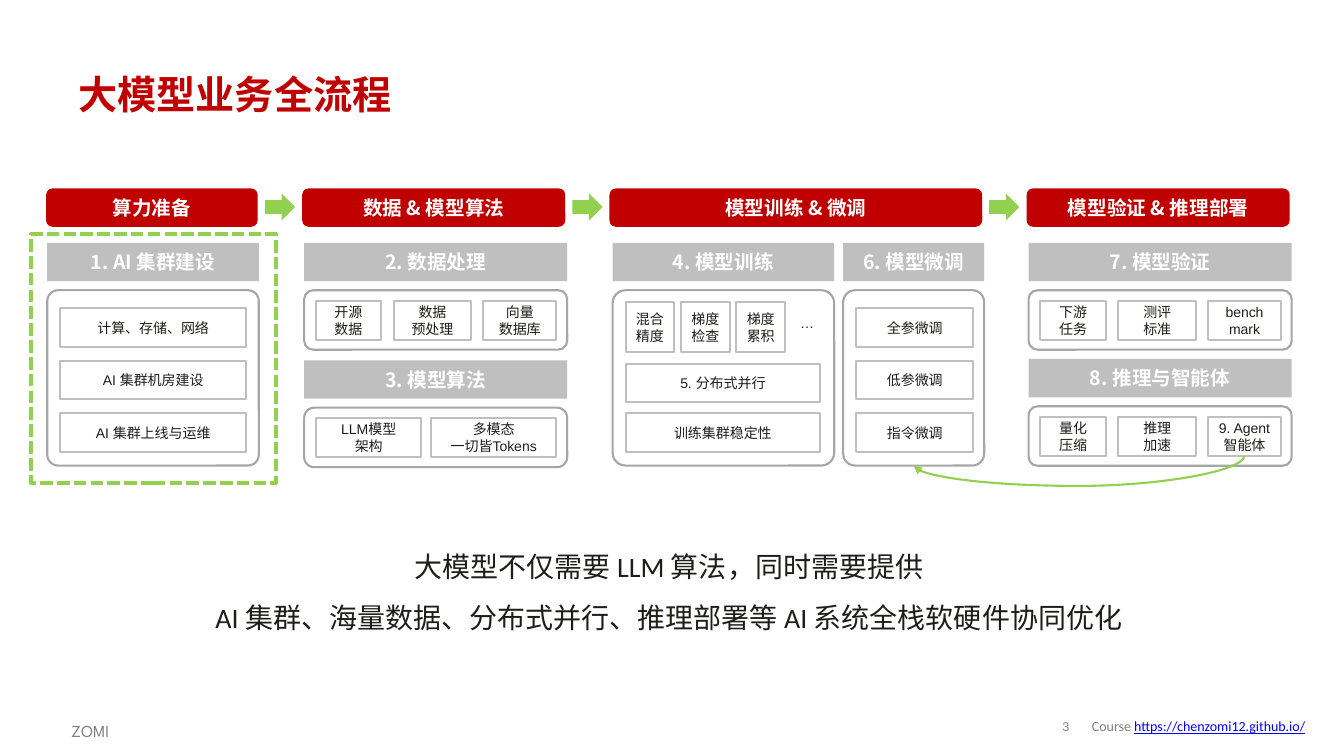
from lxml import etree
from pptx import Presentation
from pptx.dml.color import RGBColor
from pptx.enum.dml import MSO_LINE
from pptx.enum.shapes import MSO_CONNECTOR, MSO_SHAPE
from pptx.enum.text import MSO_ANCHOR, PP_ALIGN
from pptx.oxml.ns import qn
from pptx.util import Pt

RECT, ROUND, ARROW = MSO_SHAPE.RECTANGLE, MSO_SHAPE.ROUNDED_RECTANGLE, MSO_SHAPE.RIGHT_ARROW
CURVE, DASH = MSO_CONNECTOR.CURVE, MSO_LINE.SQUARE_DOT
LEFT, CENTER = PP_ALIGN.LEFT, PP_ALIGN.CENTER
TOP, MIDDLE = MSO_ANCHOR.TOP, MSO_ANCHOR.MIDDLE
CJK = "Noto Sans CJK SC"

COLORS = {
    "red": "C00000", "green": "92D050", "bar": "BFBFBF", "frame": "A6A6A6",
    "ink": "1D1D1A", "white": "FFFFFF", "gray": "808080", "blue": "0000FF",
}
HUES = {name: RGBColor.from_string(code) for name, code in COLORS.items()}

FONTS = {
    "title": ("red", {"name": "League Spartan", "size": Pt(28), "bold": True}),
    "head": ("white", {"name": CJK, "size": Pt(14), "bold": True}),
    "cell": ("ink", {"name": "Arial", "size": Pt(10)}),
    "body": ("ink", {"name": "Calibri", "size": Pt(20)}),
    "page": ("gray", {"name": "Arial", "size": Pt(9)}),
    "owner": ("gray", {"name": "League Spartan", "size": Pt(12)}),
    "course": ("gray", {"name": "Calibri", "size": Pt(10)}),
    "link": ("blue", {"name": "Calibri", "size": Pt(10), "underline": True}),
}

deck = Presentation()
deck.slide_width, deck.slide_height = Pt(960.48), Pt(540)
slide = deck.slides.add_slide(deck.slide_layouts[6])
shapes = slide.shapes


def write(shape, lines, align=CENTER, anchor=MIDDLE, space=None):
    """Fill a shape with lines, each a list of (text, font key) runs."""
    frame = shape.text_frame
    frame.vertical_anchor = anchor
    for i, runs in enumerate(lines):
        para = frame.paragraphs[0] if i == 0 else frame.add_paragraph()
        para.alignment, para.line_spacing = align, space
        for text, key in runs:
            run = para.add_run()
            run.text = text
            hue, look = FONTS[key]
            for name, value in look.items():
                setattr(run.font, name, value)
            run.font.color.rgb = HUES[hue]
            east = etree.SubElement(run.font._element, qn("a:ea"))
            east.set("typeface", CJK)


def box(kind, place, fill=None, line=None, width=1.5, round_by=None, text="", font="cell"):
    shape = shapes.add_shape(kind, *map(Pt, place))
    shape.shadow.inherit = False
    if fill:
        shape.fill.solid()
        shape.fill.fore_color.rgb = HUES[fill]
    else:
        shape.fill.background()
    if line:
        shape.line.color.rgb = HUES[line]
        shape.line.width = Pt(width)
    else:
        shape.line.fill.background()
    if round_by is not None:
        shape.adjustments[0] = round_by
    if text:
        write(shape, [[(part, font)] for part in text.split("\n")])
    return shape


# Stage headers and the arrows between them
for x, w, text in [
    (33, 151.2, "算力准备"),
    (216, 188, "数据 & 模型算法"),
    (435.6, 266.4, "模型训练 & 微调"),
    (733.7, 188, "模型验证 & 推理部署"),
]:
    box(ROUND, (x, 134.6, w, 27.4), fill="red", text=text, font="head")
for x in (189.4, 409, 707):
    box(ARROW, (x, 138.2, 21.6, 19.4), fill="green")

# Sections: grey bar with a rounded frame 33.8 pt below its top
for x, y, w, h, curve, text in [
    (33.8, 173.5, 151.2, 125.3, 0.062, "1. AI 集群建设"),
    (217.4, 173.5, 188, 42.5, 0.151, "2. 数据处理"),
    (217.4, 257.4, 188, 42.5, 0.169, "3. 模型算法"),
    (437.8, 173.5, 158.4, 125.3, 0.074, "4. 模型训练"),
    (602.6, 173.5, 100.8, 125.3, 0.085, "6. 模型微调"),
    (735.1, 173.5, 188, 42.5, 0.151, "7. 模型验证"),
    (735.1, 256.4, 188, 42.5, 0.151, "8. 推理与智能体"),
]:
    box(RECT, (x, y, w, 27.4), fill="bar", text=text, font="head")
    box(ROUND, (x, y + 33.8, w, h), line="frame", round_by=curve)

# Cells: stacked columns, then rows of cells
cells = []
for x, w, names in [
    (43.2, 132.5, ["计算、存储、网络", "AI 集群机房建设", "AI 集群上线与运维"]),
    (612, 83.5, ["全参微调", "低参微调", "指令微调"]),
]:
    cells += [(x, 220.3 + 37.44 * i, w, 27.4, name) for i, name in enumerate(names)]
cells += [
    (447.1, 259.9, 139, 27.4, "5. 分布式并行"),
    (447.1, 295.2, 139, 27.4, "训练集群稳定性"),
    (226.1, 298.8, 74.9, 27.4, "LLM模型\n架构"),
    (308.2, 298.8, 89.3, 27.4, "多模态\n一切皆Tokens"),
]
for i, name in enumerate(["混合精度", "梯度检查", "梯度累积"]):
    cells.append((447.1 + 39.6 * i, 216, 34.7, 35.3, name))
trio = [(0, 46.8), (55.8, 55.4), (119.9, 52)]
for x, y, names in [
    (225.6, 215.3, ["开源\n数据", "数据\n预处理", "向量\n数据库"]),
    (743.5, 215.3, ["下游\n任务", "测评\n标准", "bench\nmark"]),
    (743.5, 298.1, ["量化\n压缩", "推理\n加速", "9. Agent\n智能体"]),
]:
    cells += [(x + dx, y, w, 27.4, name) for (dx, w), name in zip(trio, names)]
for *place, name in cells:
    box(ROUND, place, line="bar", round_by=0, text=name)

# Feedback curve from the agent cell back to fine-tuning, turned a quarter
loop = shapes.add_connector(CURVE, *map(Pt, (767.5, 211, 774.7, 447.2)))
loop.line.color.rgb = HUES["green"]
loop.line.width = Pt(1.5)
props = loop._element.spPr
props.find(qn("a:xfrm")).set("rot", "5400000")
guide = etree.SubElement(props.find(qn("a:prstGeom")).find(qn("a:avLst")), qn("a:gd"))
guide.set("name", "adj1")
guide.set("fmla", "val 300200")
etree.SubElement(props.find(qn("a:ln")), qn("a:tailEnd")).set("type", "triangle")
etree.SubElement(props, qn("a:effectLst"))

# Dashed highlight around the first stage
mark = box(RECT, (22.3, 167, 175, 177.8), line="green", width=3)
mark.line.dash_style = DASH

# Free text
course = [("Course ", "course"), ("https://chenzomi12.github.io/", "link")]
body = [
    [("大模型不仅需要 LLM 算法，同时需要提供", "body")],
    [("AI 集群、海量数据、分布式并行、推理部署等 AI 系统全栈软硬件协同优化", "body")],
]
for place, lines, align, anchor, space, inset in [
    ((49, 43.9, 863.3, 46), [[("大模型业务全流程", "title")]], LEFT, MIDDLE, None, 7.2),
    ((564.5, 221, 24.5, 19.4), [[("…", "cell")]], CENTER, TOP, None, 0),
    ((33.1, 377.3, 889.9, 75.6), body, CENTER, TOP, 1.5, 7.2),
    ((43.9, 508.3, 57.6, 23), [[("ZOMI", "owner")]], LEFT, TOP, 1.2, 7.2),
    ((748.8, 508.3, 25.9, 22.3), [[("3", "page")]], CENTER, MIDDLE, 0.85, 0),
    ((773.3, 508.3, 177.1, 20.9), [course], LEFT, MIDDLE, None, 7.2),
]:
    note = shapes.add_textbox(*map(Pt, place))
    frame = note.text_frame
    frame.word_wrap = True
    frame.margin_left = frame.margin_right = Pt(inset)
    write(note, lines, align, anchor, space)

deck.save("out.pptx")
